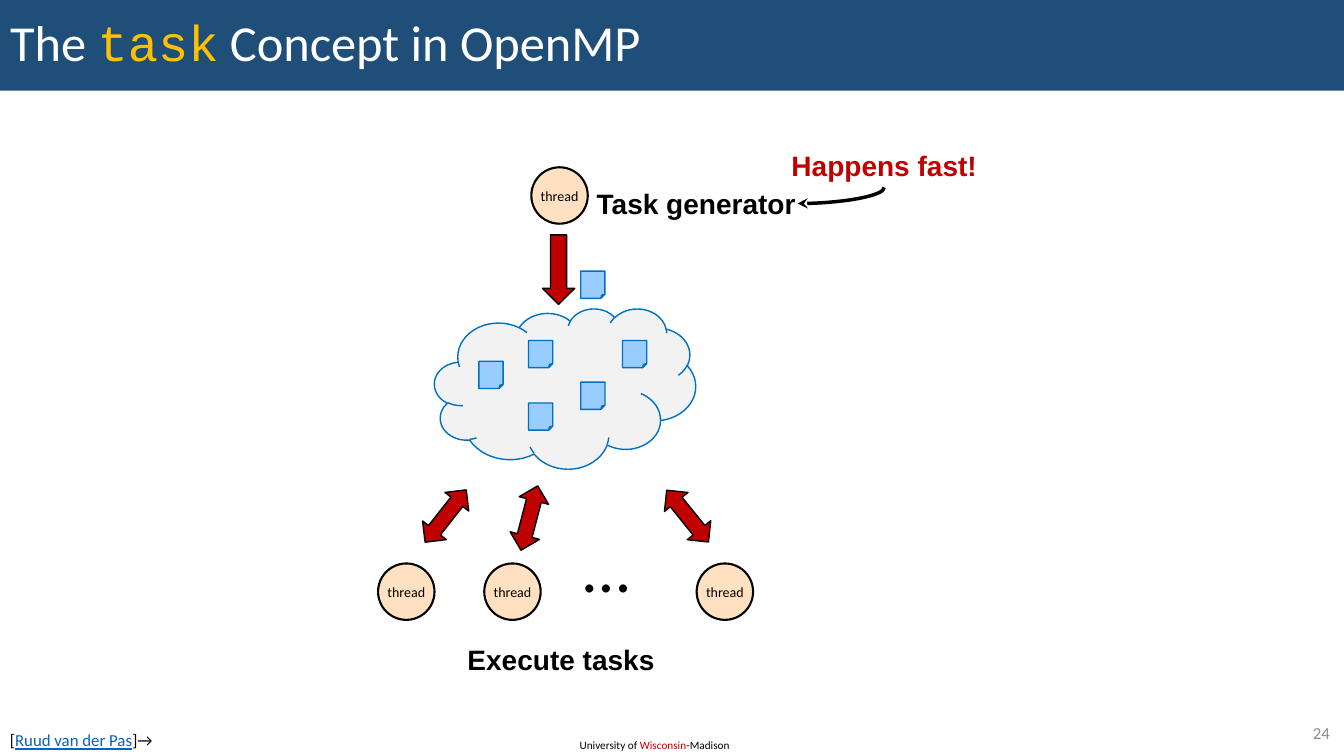
import pptx
import pptx.util
import pptx.dml.color
import pptx.enum.shapes
import pptx.enum.text
import pptx.oxml
import pptx.oxml.ns

SHAPE = pptx.enum.shapes.MSO_SHAPE
ALIGN = pptx.enum.text.PP_ALIGN
ANCHOR = pptx.enum.text.MSO_ANCHOR
Inches = pptx.util.Inches
Pt = pptx.util.Pt

WIDTH, HEIGHT = 13.33, 7.5
BLACK, WHITE, RED, BLUE = "000000", "FFFFFF", "C00000", "0070C0"
THREAD_SIZE = 0.56


def color(value):
    """Turn a hex string into a colour."""
    return pptx.dml.color.RGBColor.from_string(value)


def write(para, size, *parts, font="Calibri", bold=False, align=ALIGN.LEFT):
    """Write parts of (text, colour) into a paragraph and return their runs."""
    para.alignment = align
    para.font.name, para.font.size, para.font.bold = font, Pt(size), bold
    spans = []
    for text, value in parts:
        span = para.add_run()
        span.text = text
        span.font.color.rgb = color(value)
        spans.append(span)
    return spans


def add_text(page, box, size, *parts, wrap=True, anchor=ANCHOR.TOP, **style):
    """Add a text box and return its runs."""
    frame = page.shapes.add_textbox(*map(Inches, box)).text_frame
    frame.word_wrap = wrap
    frame.vertical_anchor = anchor
    return write(frame.paragraphs[0], size, *parts, **style)


def add_label(page, box, text, value=BLACK):
    """Add a bold centred caption."""
    add_text(page, box, 20, (text, value), wrap=False, font="Arial",
             bold=True, align=ALIGN.CENTER)


def add_shape(page, kind, box, fill, line, weight=1, angle=0):
    """Add a filled and outlined preset shape."""
    shape = page.shapes.add_shape(kind, *map(Inches, box))
    shape.shadow.inherit = False
    shape.fill.solid()
    shape.fill.fore_color.rgb = color(fill)
    shape.line.color.rgb = color(line)
    shape.line.width = Pt(weight)
    shape.rotation = angle
    return shape


def add_thread(page, left, top):
    """Add a circle that stands for a thread."""
    circle = add_shape(page, SHAPE.OVAL, (left, top, THREAD_SIZE, THREAD_SIZE),
                       "FFE0C1", BLACK, 1.5)
    frame = circle.text_frame
    frame.margin_left = frame.margin_right = 0
    frame.vertical_anchor = ANCHOR.MIDDLE
    write(frame.paragraphs[0], 10, ("thread", BLACK), align=ALIGN.CENTER)


def add_task(page, left, top):
    """Add a folded sheet that stands for a task."""
    add_shape(page, SHAPE.FOLDED_CORNER, (left, top, 0.24, 0.27), "99CCFF", BLUE)


def draw_title(page, box):
    """Place the title on its coloured bar."""
    title = page.shapes.title
    title.left, title.top, title.width, title.height = map(Inches, box)
    title.fill.solid()
    title.fill.fore_color.rgb = color("1F4E79")
    frame = title.text_frame
    frame.auto_size = pptx.enum.text.MSO_AUTO_SIZE.NONE
    frame.vertical_anchor = ANCHOR.MIDDLE
    para = frame.paragraphs[0]
    para.line_spacing = 0.9
    spans = write(para, 36, ("The ", WHITE), ("task", "FFC000"),
                  (" Concept in OpenMP", WHITE))
    spans[1].font.name = "Courier New"


def draw_generator(page, box):
    """Draw the generating thread, its arrow and the remark on speed."""
    left, top, width, height = box
    add_thread(page, left, top + 0.24)
    add_shape(page, SHAPE.UP_ARROW, (left + 0.11, top + 0.91, 0.32, 0.69),
              RED, BLACK, angle=180)
    add_label(page, (left + 0.54, top + 0.38, 2.19, 0.44), "Task generator")
    add_label(page, (left + width - 2.06, top, 2.06, 0.44), "Happens fast!", RED)
    add_task(page, left + 0.49, top + height - 0.27)
    add_pointer(page, left + 2.99, top + 0.09, 0.16, 0.86)


def add_pointer(page, left, top, width, height):
    """Add a curved arrow, laid out upright and turned a quarter."""
    pointer = page.shapes.add_connector(
        pptx.enum.shapes.MSO_CONNECTOR.CURVE,
        *map(Inches, (left, top, left + width, top + height)))
    pointer.line.color.rgb = color(BLACK)
    pointer.line.width = Pt(2.5)
    properties = pointer._element.spPr
    properties.find(pptx.oxml.ns.qn("a:xfrm")).set("rot", str(90 * 60000))
    properties.find(pptx.oxml.ns.qn("a:prstGeom")).set("prst", "curvedConnector2")
    tail = pptx.oxml.parse_xml(
        f'<a:tailEnd {pptx.oxml.ns.nsdecls("a")} type="stealth"/>')
    pointer.line._get_or_add_ln().append(tail)
    properties.append(pptx.oxml.parse_xml(
        f'<a:effectLst {pptx.oxml.ns.nsdecls("a")}/>'))


def draw_pool(page, box):
    """Draw the cloud and the tasks waiting in it."""
    left, top, width, height = box
    add_shape(page, SHAPE.CLOUD, box, "F2F2F2", BLUE)
    for across, down in ((0.17, 0.33), (0.36, 0.2), (0.72, 0.2),
                         (0.56, 0.46), (0.36, 0.59)):
        add_task(page, left + across * width, top + down * height)


def draw_workers(page, box):
    """Draw the row of executing threads, their arrows and caption."""
    left, top, width, height = box
    pitch = (width - THREAD_SIZE) / 3
    for column in (0, 1, 3):
        add_thread(page, left + column * pitch, top + 0.8)
    add_text(page, (left + 1.94, top + 0.37, 0.66, 0.91), 48, ("…", BLACK),
             wrap=False)
    for across, down, angle in ((0.52, 0, 38.2), (1.35, 0.02, 14.6),
                                (2.92, 0, 321.1)):
        add_shape(page, SHAPE.UP_DOWN_ARROW,
                  (left + across, top + down, 0.3, 0.66), RED, BLACK, angle=angle)
    add_label(page, (left + 0.78, top + height - 0.44, 2.07, 0.44),
              "Execute tasks")


def draw_footer(page, box):
    """Write the credit, the university and the page number."""
    left, top, width, height = box
    spans = add_text(page, (left, top + 0.07, 1.81, 0.3), 12, ("[", BLACK),
                     ("Ruud van der Pas", "0563C1"), ("]→", BLACK))
    spans[1].font.underline = True
    add_text(page, (left + 5.65, top + height - 0.22, 1.72, 0.24), 8,
             ("University of ", BLACK), ("Wisconsin", RED), ("-Madison", BLACK))
    add_text(page, (left + width - 0.8, top, 0.76, 0.29), 12, ("24", "8C8C8C"),
             anchor=ANCHOR.MIDDLE, align=ALIGN.RIGHT)


def main():
    """Build the slide and save it."""
    deck = pptx.Presentation()
    deck.slide_width, deck.slide_height = Inches(WIDTH), Inches(HEIGHT)
    page = deck.slides.add_slide(deck.slide_layouts.get_by_name("Title Only"))
    draw_title(page, (0, 0, WIDTH, 0.12 * HEIGHT))
    draw_generator(page, (5.27, 1.42, 4.53, 1.54))
    draw_pool(page, (4.31, 3.06, 2.59, 1.59))
    draw_workers(page, (3.75, 4.79, 3.72, 1.97))
    draw_footer(page, (0, 0.95 * HEIGHT, WIDTH, 0.05 * HEIGHT))
    deck.save("out.pptx")


if __name__ == "__main__":
    main()
